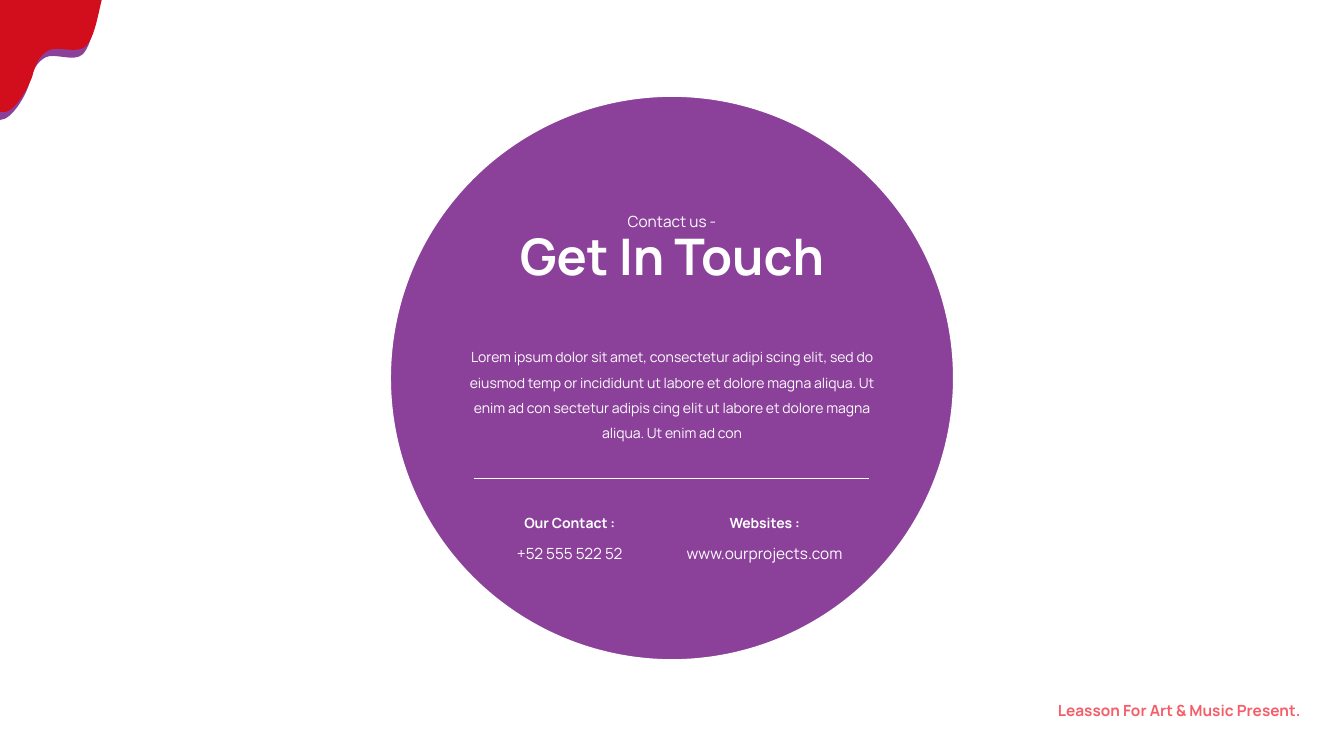
from pptx import Presentation
from pptx.dml.color import RGBColor
from pptx.enum.shapes import MSO_CONNECTOR as CONN, MSO_SHAPE as SHAPE
from pptx.enum.text import MSO_AUTO_SIZE as FIT, PP_ALIGN as ALIGN
from pptx.oxml.ns import qn
from pptx.util import Inches, Pt
from lxml.etree import SubElement

WHITE, PURPLE, RED, CORAL = "FFFFFF", "8B409A", "D20E1C", "F45E69"


def rgb(color):
    return RGBColor.from_string(color)


class Deck:
    """Holds the text style and the current slide, and draws each kind of element."""

    def __init__(self, font="Manrope", color=WHITE):
        self.font, self.color = font, color
        self.prs = Presentation()
        self.prs.slide_width, self.prs.slide_height = Inches(13.34), Inches(7.5)
        self.slide = self.prs.slides.add_slide(self.prs.slide_layouts[6])

    def text(self, x, y, w, h, words, size, bold=False, color=None,
             align=ALIGN.CENTER, spacing=1.0):
        tf = self.slide.shapes.add_textbox(Inches(x), Inches(y), Inches(w), Inches(h)).text_frame
        tf.word_wrap = True
        tf.auto_size = FIT.SHAPE_TO_FIT_TEXT
        p = tf.paragraphs[0]
        p.alignment, p.line_spacing = align, spacing
        r = p.add_run()
        r.text = words
        r.font.name, r.font.size, r.font.bold = self.font, Pt(size), bold
        r.font.color.rgb = rgb(color or self.color)

    def paint(self, s, fill):
        s.shadow.inherit = False
        s.fill.solid()
        s.fill.fore_color.rgb = rgb(fill)
        s.line.fill.background()
        return s

    def circle(self, x, y, w, h, fill, line, width):
        box = Inches(x), Inches(y), Inches(w), Inches(h)
        s = self.paint(self.slide.shapes.add_shape(SHAPE.OVAL, *box), fill)
        s.line.color.rgb = rgb(line)
        s.line.width = Pt(width)

    def drip(self, top, start, curves, fill):
        points = [start, *(pt for curve in curves for pt in curve)]
        points.append((0, points[-1][1]))
        fb = self.slide.shapes.build_freeform(0, Inches(top))
        fb.add_line_segments([(Inches(x), Inches(y)) for x, y in points])
        s = self.paint(fb.convert_to_shape(), fill)
        outline = next(s._element.iter(qn("a:path")))
        steps = outline.findall(qn("a:lnTo"))
        for i in range(1, 1 + 3 * len(curves), 3):
            curve = SubElement(outline, qn("a:cubicBezTo"))
            steps[i].addprevious(curve)
            for step in steps[i:i + 3]:
                curve.append(step[0])
                outline.remove(step)

    def line(self, x1, y1, x2, y2, color, width):
        s = self.slide.shapes.add_connector(
            CONN.STRAIGHT, Inches(x1), Inches(y1), Inches(x2), Inches(y2))
        s.line.color.rgb = rgb(color)
        s.line.width = Pt(width)
        SubElement(s._element.spPr, qn("a:effectLst"))


def main():
    deck = Deck()
    deck.drip(0.08, (0.98, 0.08), [
        ((0.95, 0.18), (0.91, 0.45), (0.82, 0.54)),
        ((0.73, 0.62), (0.54, 0.52), (0.45, 0.57)),
        ((0.36, 0.62), (0.32, 0.71), (0.29, 0.83)),
        ((0.26, 0.94), (0.12, 1.19), (0, 1.19)),
    ], PURPLE)
    deck.drip(0, (1.01, 0), [
        ((0.98, 0.11), (0.94, 0.38), (0.85, 0.46)),
        ((0.76, 0.54), (0.57, 0.45), (0.48, 0.5)),
        ((0.39, 0.55), (0.35, 0.64), (0.32, 0.76)),
        ((0.28, 0.87), (0.13, 1.15), (0.01, 1.11)),
    ], RED)
    deck.text(9.26, 6.81, 3.75, 0.38, "Leasson For Art & Music Present.", 11,
              bold=True, color=CORAL, align=ALIGN.RIGHT, spacing=1.5)

    deck.circle(3.86, 0.94, 5.62, 5.62, PURPLE, WHITE, 3)
    for x, w, label, value in [
        (4.24, 2.83, "Our Contact :", "+52 555 522 52"),
        (6.49, 2.2, "Websites :", "www.ourprojects.com"),
    ]:
        deck.text(x, 5.06, w, 0.27, label, 10, bold=True)
        deck.text(x, 5.35, w, 0.29, value, 11)
    deck.text(4.49, 3.33, 4.36, 1.1,
              "Lorem ipsum dolor sit amet, consectetur adipi scing elit, sed do "
              "eiusmod temp or incididunt ut labore et dolore magna aliqua. Ut "
              "enim ad con sectetur adipis cing elit ut labore et dolore magna "
              "aliqua. Ut enim ad con", 10, spacing=1.5)
    deck.text(3.21, 2.18, 6.92, 0.7, "Get In Touch", 36, bold=True)
    deck.text(5.83, 1.96, 1.68, 0.38, "Contact us -", 11, spacing=1.5)
    deck.line(4.7, 4.75, 8.63, 4.75, WHITE, 0.5)
    deck.prs.save("out.pptx")


if __name__ == "__main__":
    main()
